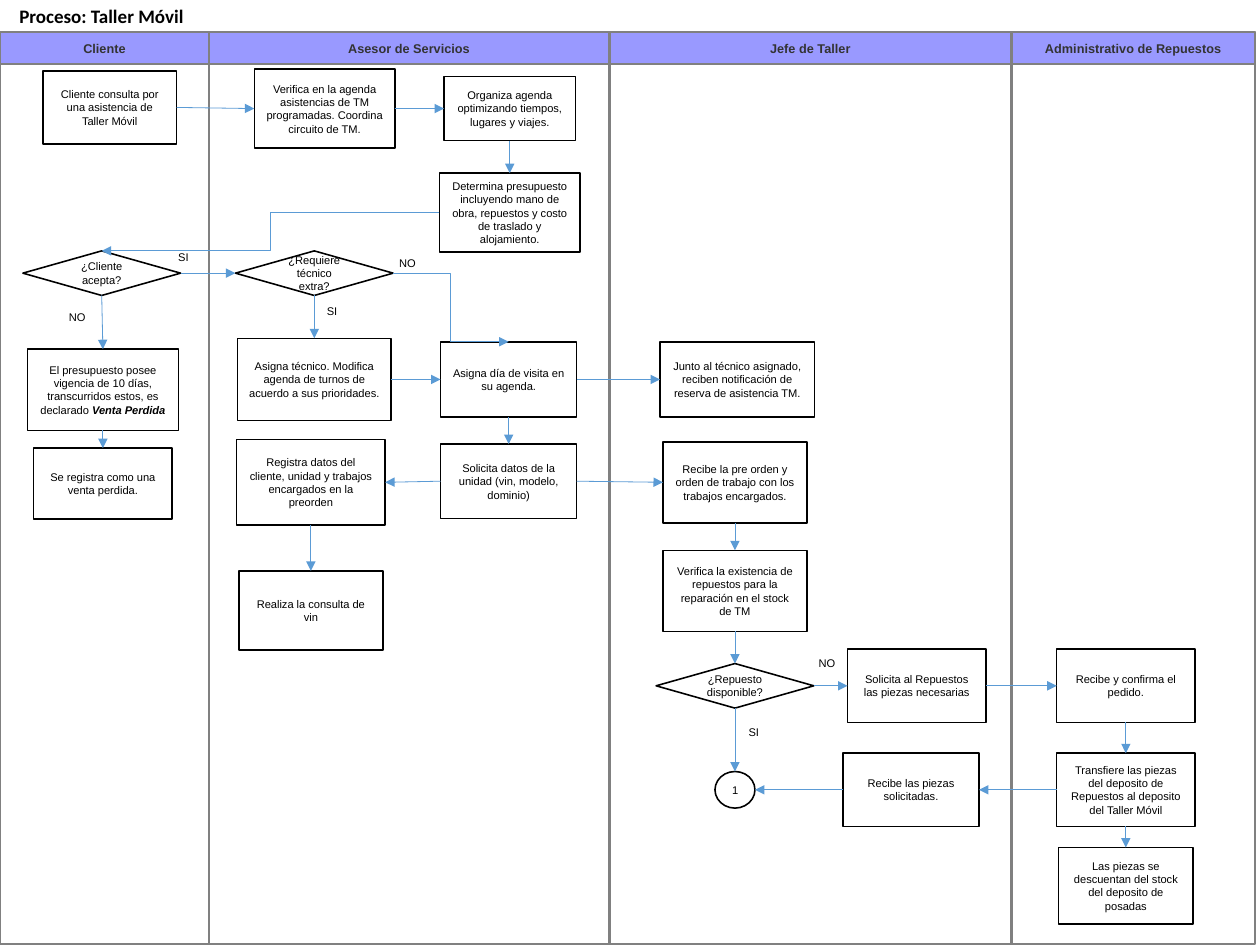
from lxml.etree import SubElement
from pptx import Presentation
from pptx.dml.color import RGBColor
from pptx.enum.shapes import MSO_CONNECTOR, MSO_SHAPE
from pptx.enum.text import MSO_ANCHOR, PP_ALIGN
from pptx.oxml.ns import qn
from pptx.util import Cm, Inches, Pt

COLORS = {"lane": "808080", "header": "9999FF", "heading": "333333",
          "box": "FFFFFF", "ink": "000000", "arrow": "5B9BD5"}
BODY = {"name": "Arial", "size": Pt(7)}
HEADING = {"name": "Arial", "size": Pt(8), "bold": True}
TITLE = {"name": "Calibri", "size": Pt(12), "bold": True}
EMPHASIS = {"bold": True, "italic": True}

presentation = Presentation()
presentation.slide_width = Cm(28)
presentation.slide_height = Cm(21)
slide = presentation.slides.add_slide(presentation.slide_layouts[6])


def add_block(kind, left, top, width, height, fill, line, weight):
    shape = slide.shapes.add_shape(kind, *map(Inches, (left, top, width, height)))
    shape.shadow.inherit = False
    if fill:
        shape.fill.solid()
        shape.fill.fore_color.rgb = RGBColor.from_string(COLORS[fill])
    else:
        shape.fill.background()
    shape.line.color.rgb = RGBColor.from_string(COLORS[line])
    shape.line.width = Pt(weight)
    return shape


def write(shape, runs, font_format, color, alignment, anchor):
    frame = shape.text_frame
    frame.word_wrap = True
    frame.vertical_anchor = anchor
    paragraph = frame.paragraphs[0]
    paragraph.alignment = alignment
    for text, extra in runs:
        run = paragraph.add_run()
        run.text = text
        run.font.color.rgb = RGBColor.from_string(COLORS[color])
        for attribute, value in {**font_format, **extra}.items():
            setattr(run.font, attribute, value)


lane_top, header_height, lane_height = 0.28, 0.28, 7.98
lane_edges = [0, 1.83, 5.33, 8.85, 10.98]
lane_names = ["Cliente", "Asesor de Servicios", "Jefe de Taller", "Administrativo de Repuestos"]
for name, left, right in zip(lane_names, lane_edges, lane_edges[1:]):
    add_block(MSO_SHAPE.RECTANGLE, left, lane_top, right - left, lane_height, None, "lane", 1.7)
    header = add_block(MSO_SHAPE.RECTANGLE, left, lane_top, right - left, header_height,
                       "header", "lane", 1.7)
    write(header, [(name, {})], HEADING, "heading", PP_ALIGN.CENTER, MSO_ANCHOR.MIDDLE)

columns = {"client": 0.89, "advisor": 2.74, "agenda": 4.45,
           "workshop": 6.43, "parts": 8.02, "store": 9.85}
rows = {"request": 0.95, "budget": 1.86, "accept": 2.39, "visit": 3.32, "order": 4.22,
        "stock": 5.17, "available": 6, "transfer": 6.91, "discount": 7.75}

steps = [
    ("inquiry", "client", 0.07, "request", -0.01, 1.17, 0.64,
     "Cliente consulta por una asistencia de Taller Móvil"),
    ("check agenda", "advisor", 0.1, "request", 0, 1.23, 0.69,
     "Verifica en la agenda asistencias de TM programadas. Coordina circuito de TM."),
    ("plan agenda", "agenda", 0.01, "request", 0, 1.15, 0.56,
     "Organiza agenda optimizando tiempos, lugares y viajes."),
    ("budget", "agenda", 0.01, "budget", 0, 1.23, 0.69,
     "Determina presupuesto incluyendo mano de obra, repuestos y costo de traslado y alojamiento."),
    ("accepts?", "client", 0, "accept", 0, 1.38, 0.39, "¿Cliente acepta?"),
    ("extra?", "advisor", 0.01, "accept", 0, 1.38, 0.39, "¿Requiere técnico extra?"),
    ("expiry", "client", 0.01, "visit", 0.09, 1.32, 0.71,
     "El presupuesto posee vigencia de 10 días, transcurridos estos, es declarado "),
    ("technician", "advisor", 0.01, "visit", 0, 1.34, 0.72,
     "Asigna técnico. Modifica agenda de turnos de acuerdo a sus prioridades."),
    ("visit day", "agenda", 0, "visit", 0, 1.19, 0.66, "Asigna día de visita en su agenda."),
    ("notice", "workshop", 0.02, "visit", 0, 1.35, 0.66,
     "Junto al técnico asignado, reciben notificación de reserva de asistencia TM."),
    ("lost sale", "client", 0.01, "order", 0.01, 1.21, 0.62,
     "Se registra como una venta perdida."),
    ("register", "advisor", -0.02, "order", 0, 1.3, 0.75,
     "Registra datos del cliente, unidad y trabajos encargados en la preorden"),
    ("unit data", "agenda", 0, "order", -0.01, 1.19, 0.65,
     "Solicita datos de la unidad (vin, modelo, dominio)"),
    ("work order", "workshop", 0, "order", 0, 1.26, 0.71,
     "Recibe la pre orden y orden de trabajo con los trabajos encargados."),
    ("vin", "advisor", -0.02, "stock", 0.17, 1.26, 0.69, "Realiza la consulta de vin"),
    ("stock", "workshop", 0, "stock", 0, 1.26, 0.71,
     "Verifica la existencia de repuestos para la reparación en el stock de TM"),
    ("available?", "workshop", 0, "available", 0, 1.38, 0.39, "¿Repuesto disponible?"),
    ("request parts", "parts", 0, "available", 0, 1.21, 0.64,
     "Solicita al Repuestos las piezas necesarias"),
    ("confirm", "store", 0, "available", 0, 1.21, 0.64, "Recibe y confirma el pedido."),
    ("page link", "workshop", 0, "transfer", 0, 0.35, 0.32, "1"),
    ("receive parts", "parts", -0.05, "transfer", 0, 1.19, 0.64, "Recibe las piezas solicitadas."),
    ("transfer", "store", 0, "transfer", 0, 1.21, 0.64,
     "Transfiere las piezas del deposito de Repuestos al deposito del Taller Móvil"),
    ("discount", "store", 0, "discount", 0, 1.18, 0.67,
     "Las piezas se descuentan del stock del deposito de posadas"),
]
boxes = {}
for name, column, shift, row, drop, width, height, text in steps:
    kind = MSO_SHAPE.RECTANGLE
    if name.endswith("?"):
        kind = MSO_SHAPE.DIAMOND
    elif name == "page link":
        kind = MSO_SHAPE.OVAL
    left = columns[column] + shift - width / 2
    top = rows[row] + drop - height / 2
    boxes[name] = add_block(kind, left, top, width, height, "box", "ink", 1)
    runs = [(text, {})]
    if name == "expiry":
        runs.append(("Venta Perdida", EMPHASIS))
    write(boxes[name], runs, BODY, "ink", PP_ALIGN.CENTER, MSO_ANCHOR.MIDDLE)

sides = {"top": (0.5, 0), "left": (0, 0.5), "bottom": (0.5, 1), "right": (1, 0.5)}
flows = [
    ("inquiry", "right", "check agenda", "left"),
    ("check agenda", "right", "plan agenda", "left"),
    ("plan agenda", "bottom", "budget", "top"),
    ("budget", "left", "accepts?", "top"),
    ("accepts?", "right", "extra?", "left"),
    ("accepts?", "bottom", "expiry", "top"),
    ("expiry", "bottom", "lost sale", "top"),
    ("extra?", "bottom", "technician", "top"),
    ("extra?", "right", "visit day", "top"),
    ("technician", "right", "visit day", "left"),
    ("visit day", "right", "notice", "left"),
    ("visit day", "bottom", "unit data", "top"),
    ("unit data", "left", "register", "right"),
    ("unit data", "right", "work order", "left"),
    ("register", "bottom", "vin", "top"),
    ("work order", "bottom", "stock", "top"),
    ("stock", "bottom", "available?", "top"),
    ("available?", "right", "request parts", "left"),
    ("available?", "bottom", "page link", "top"),
    ("request parts", "right", "confirm", "left"),
    ("confirm", "bottom", "transfer", "top"),
    ("transfer", "bottom", "discount", "top"),
    ("transfer", "left", "receive parts", "right"),
    ("receive parts", "left", "page link", "right"),
]
for source, exit_side, target, entry_side in flows:
    ends = []
    for name, side in ((source, exit_side), (target, entry_side)):
        box, (across, down) = boxes[name], sides[side]
        ends += [int(box.left + box.width * across), int(box.top + box.height * down)]
    bent = exit_side in ("left", "right") and entry_side == "top"
    kind = MSO_CONNECTOR.ELBOW if bent else MSO_CONNECTOR.STRAIGHT
    connector = slide.shapes.add_connector(kind, *ends)
    connector.line.color.rgb = RGBColor.from_string(COLORS["arrow"])
    connector.line.width = Pt(0.5)
    outline = connector._element.spPr.find(qn("a:ln"))
    SubElement(outline, qn("a:tailEnd"), type="triangle")
    SubElement(connector._element.spPr, qn("a:effectLst"))

answers = [("NO", 0.5, 2.67), ("SI", 1.45, 2.14), ("NO", 3.39, 2.19),
           ("SI", 2.75, 2.61), ("NO", 7.06, 5.69), ("SI", 6.44, 6.3)]
answer_sizes = {"NO": (0.35, 0.28), "SI": (0.31, 0.21)}
for text, left, top in answers:
    label = slide.shapes.add_textbox(*map(Inches, (left, top, *answer_sizes[text])))
    write(label, [(text, {})], BODY, "ink", PP_ALIGN.CENTER, MSO_ANCHOR.TOP)

title = slide.shapes.add_textbox(*map(Inches, (0.07, -0.01, 2.98, 0.3)))
write(title, [("Proceso: Taller Móvil", {})], TITLE, "ink", PP_ALIGN.LEFT, MSO_ANCHOR.TOP)

presentation.save("out.pptx")
